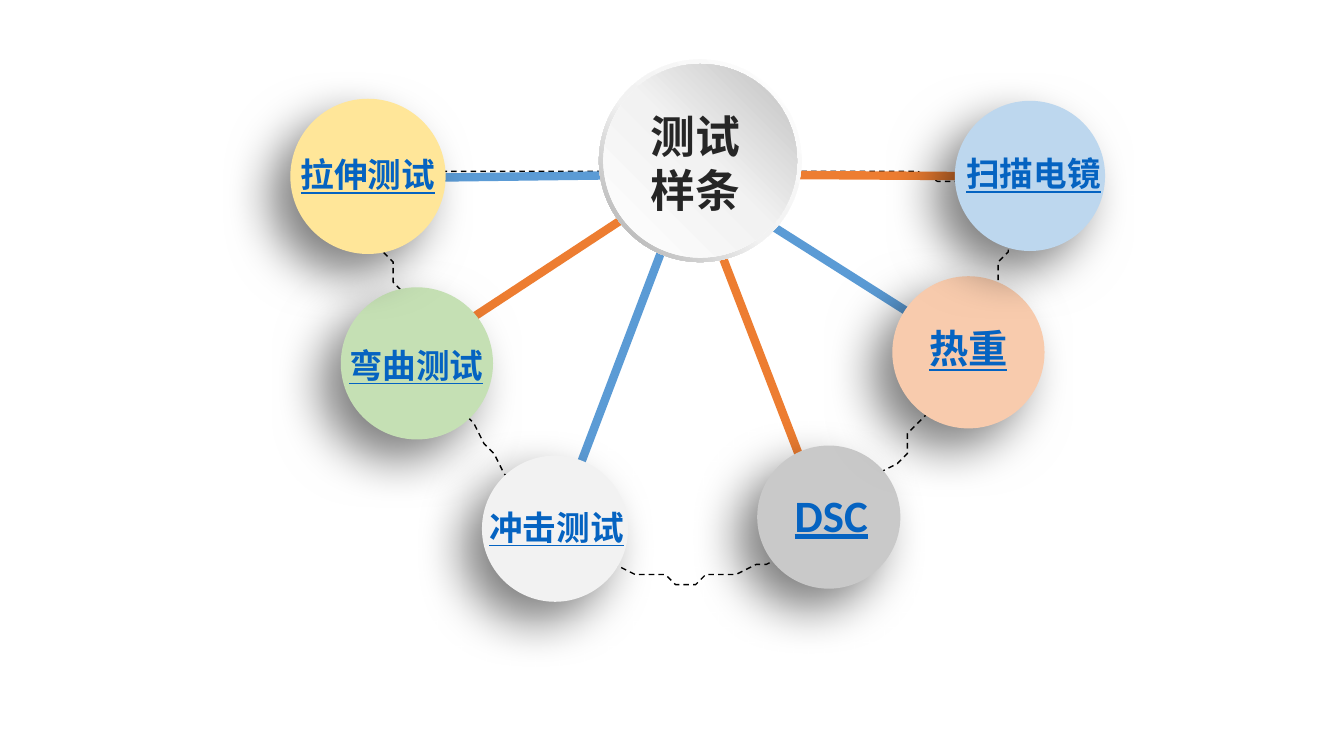
from collections import namedtuple

from lxml import etree
from pptx import Presentation
from pptx.dml.color import RGBColor
from pptx.enum.dml import MSO_LINE_DASH_STYLE as DASH
from pptx.enum.shapes import MSO_CONNECTOR as CONNECTOR, MSO_SHAPE as SHAPE
from pptx.enum.text import MSO_ANCHOR as ANCHOR, MSO_AUTO_SIZE as AUTO_SIZE, PP_ALIGN as ALIGN
from pptx.oxml.ns import qn
from pptx.util import Inches, Pt

BLACK = RGBColor(0x00, 0x00, 0x00)
WHITE = RGBColor(0xFF, 0xFF, 0xFF)
INK = RGBColor(0x26, 0x26, 0x26)
LINK = RGBColor(0x05, 0x63, 0xC1)
BLUE = RGBColor(0x5B, 0x9B, 0xD5)
ORANGE = RGBColor(0xED, 0x7D, 0x31)
GREEN_TINT = RGBColor(0xC5, 0xE0, 0xB4)
PALE_GREY = RGBColor(0xF2, 0xF2, 0xF2)
MID_GREY = RGBColor(0xC9, 0xC9, 0xC9)
ORANGE_TINT = RGBColor(0xF8, 0xCB, 0xAD)
BLUE_TINT = RGBColor(0xBD, 0xD7, 0xEE)
GOLD_TINT = RGBColor(0xFF, 0xE6, 0x99)
RIM_GREY = RGBColor(0xA6, 0xA6, 0xA6)
FACE_GREY = RGBColor(0xBF, 0xBF, 0xBF)

CELL = Inches(0.1)  # the slide is a grid of 133.3 columns by 75 rows
HUB = (68.5, 17.3)
HUB_CENTRE = (69.45, 15.95)

# Centres are (column, row) on the grid
Node = namedtuple("Node", "text size centre diameter fill label_at spoke_end spoke")
NODES = [
    Node("弯曲测试", 24, (41.35, 36.05), 15.1, GREEN_TINT, (41.3, 36.2), (39.9, 36.1), ORANGE),
    Node("冲击测试", 24, (55.05, 52.45), 14.5, PALE_GREY, (55.2, 52.3), (55.5, 51.5), BLUE),
    Node("DSC", 32, (82.2, 51.3), 14.2, MID_GREY, (82.45, 51), (81.7, 51.5), ORANGE),
    Node("热重", 28, (96.05, 34.95), 15.1, ORANGE_TINT, (96.05, 34.55), (96.9, 35.3), BLUE),
    Node("扫描电镜", 24, (102.15, 17.45), 14.9, BLUE_TINT, (102.5, 17.2), (101, 17.5), ORANGE),
    Node("拉伸测试", 24, (36.5, 17.5), 15.4, GOLD_TINT, (36.5, 17.3), (36.9, 17.7), BLUE),
]

# Bezier segments: two control points and an end point each
ORBIT_START = (38.1, 17.4)
ORBIT = [
    ((42.8, 17.6), (95.5, 16.5), (100.9, 18.3)),
    ((101.9, 23.3), (89.9, 56.4), (68.9, 57.5)),
    ((47.8, 58.6), (33.4, 17.2), ORBIT_START),
]


def bezier_points(start, segments, steps=40):
    """Return points along a chain of cubic curves, without the start."""
    points = []
    for c1, c2, end in segments:
        for i in range(1, steps + 1):
            t = i / steps
            u = 1 - t
            points.append(tuple(
                u**3 * a + 3 * u * u * t * b + 3 * u * t * t * c + t**3 * d
                for a, b, c, d in zip(start, c1, c2, end)))
        start = end
    return points


class Board:
    def __init__(self, slide):
        self.shapes = slide.shapes

    def box(self, centre, width, height):
        x, y = centre
        return [int(v * CELL) for v in (x - width / 2, y - height / 2, width, height)]

    def curve(self, start, segments, color):
        builder = self.shapes.build_freeform(*start, scale=CELL)
        builder.add_line_segments(bezier_points(start, segments), close=True)
        s = builder.convert_to_shape()
        s.fill.background()
        s.line.color.rgb = color
        s.line.width = Pt(1)
        s.line.dash_style = DASH.DASH
        s.shadow.inherit = False

    def spoke(self, start, end, color):
        ends = [int(v * CELL) for v in (*start, *end)]
        s = self.shapes.add_connector(CONNECTOR.STRAIGHT, *ends)
        s.line.color.rgb = color
        s.line.width = Pt(6)
        etree.SubElement(s._element.spPr, qn("a:effectLst"))

    def round_shape(self, kind, centre, diameter):
        s = self.shapes.add_shape(kind, *self.box(centre, diameter, diameter))
        s.line.fill.background()
        s.shadow.inherit = False
        return s

    def shadowed_disc(self, centre, diameter, color):
        s = self.round_shape(SHAPE.OVAL, centre, diameter)
        s.fill.solid()
        s.fill.fore_color.rgb = color
        effects = s._element.spPr.find(qn("a:effectLst"))
        shadow = etree.SubElement(
            effects, qn("a:outerShdw"), blurRad=str(Pt(35)), dist=str(Pt(20)),
            dir=str(135 * 60000), algn="tr", rotWithShape="0")
        tint = etree.SubElement(shadow, qn("a:srgbClr"), val=str(BLACK))
        etree.SubElement(tint, qn("a:alpha"), val="50000")

    def gradient_disc(self, kind, centre, diameter, stops, angle):
        """Draw a round shape; the angle runs clockwise from the right."""
        s = self.round_shape(kind, centre, diameter)
        s.fill.gradient()
        s.fill.gradient_angle = 360 - angle
        stop_list = s._element.spPr.find(qn("a:gradFill")).find(qn("a:gsLst"))
        for old in list(stop_list):
            stop_list.remove(old)
        for percent, color in stops:
            stop = etree.SubElement(stop_list, qn("a:gs"), pos=str(percent * 1000))
            etree.SubElement(stop, qn("a:srgbClr"), val=str(color))
        return s

    def label(self, lines, centre, width, height, size, font, color, underline=None):
        s = self.shapes.add_textbox(*self.box(centre, width, height))
        tf = s.text_frame
        tf.word_wrap = False
        tf.auto_size = AUTO_SIZE.SHAPE_TO_FIT_TEXT
        tf.vertical_anchor = ANCHOR.MIDDLE
        tf.text = "\n".join(lines)
        for p in tf.paragraphs:
            p.alignment = ALIGN.CENTER
            p.font.name = font
            p.font.size = Pt(size)
            p.font.bold = True
            p.font.underline = underline
            p.font.color.rgb = color


def main():
    prs = Presentation()
    prs.slide_width, prs.slide_height = Inches(13.33), Inches(7.5)
    board = Board(prs.slides.add_slide(prs.slide_layouts[6]))

    board.curve(ORBIT_START, ORBIT, BLACK)
    for node in NODES:
        board.spoke(node.spoke_end, HUB, node.spoke)
    for node in NODES:
        board.shadowed_disc(node.centre, node.diameter, node.fill)

    rim = board.gradient_disc(SHAPE.DONUT, HUB_CENTRE, 20.1,
                              [(0, WHITE), (55, PALE_GREY), (100, RIM_GREY)], 135)
    rim.adjustments[0] = 0.05
    board.gradient_disc(SHAPE.OVAL, HUB_CENTRE, 19.2,
                        [(0, WHITE), (51, PALE_GREY), (100, FACE_GREY)], 315)
    board.label(["测试", "样条"], (69, 16.1), 11, 11.8, 32, "Arial", INK)

    for node in NODES:
        per_letter = 0.25 if node.text.isascii() else 0.14
        width = len(node.text) * node.size * per_letter + 2
        height = node.size / 6 + 1
        board.label([node.text], node.label_at, width, height, node.size,
                    "Calibri", LINK, underline=True)

    prs.save("out.pptx")


if __name__ == "__main__":
    main()
